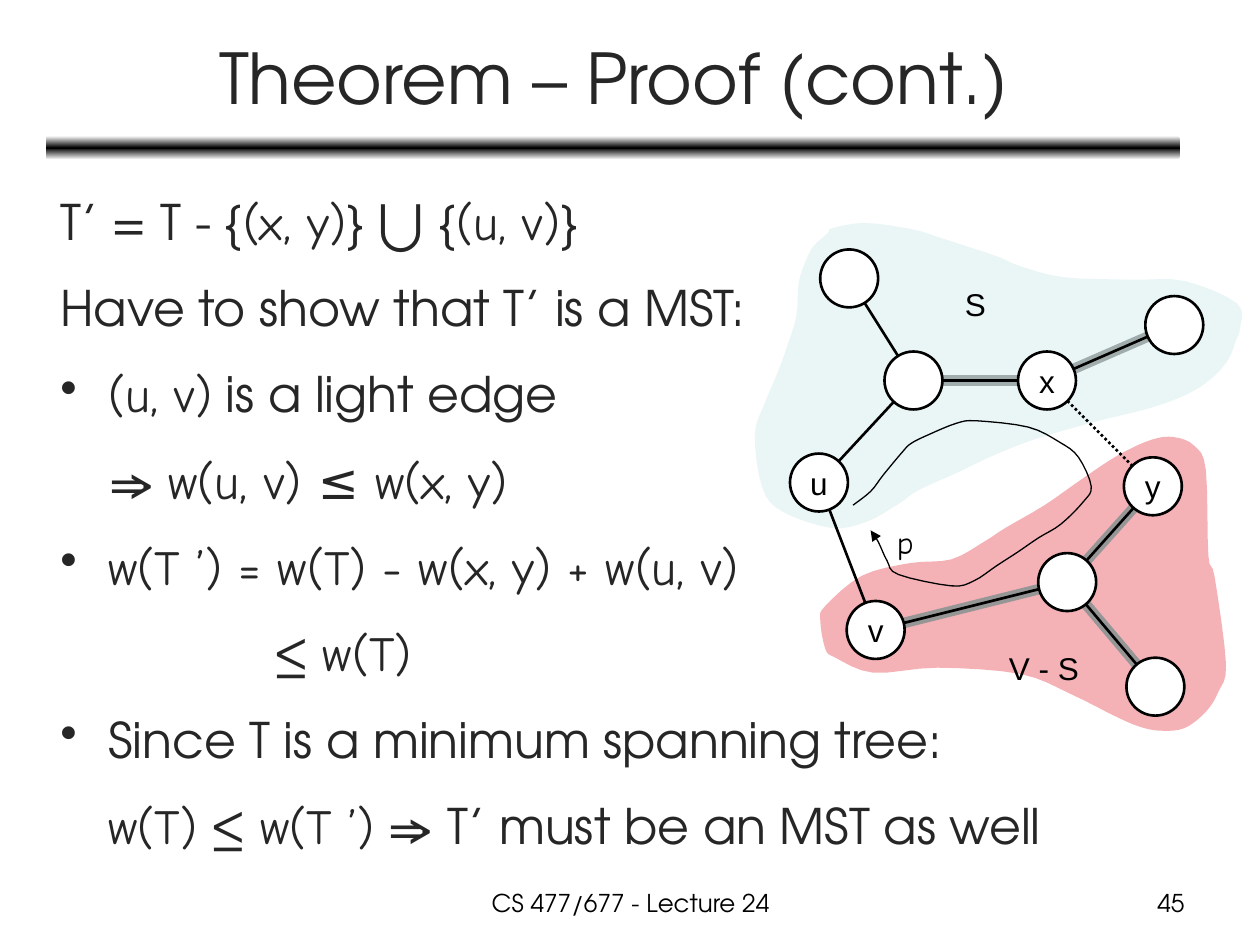
from copy import deepcopy
from math import hypot

from lxml.etree import SubElement
from pptx import Presentation
from pptx.dml.color import RGBColor
from pptx.enum.dml import MSO_LINE
from pptx.enum.shapes import MSO_CONNECTOR, MSO_SHAPE
from pptx.enum.text import MSO_ANCHOR, MSO_AUTO_SIZE, PP_ALIGN
from pptx.oxml.ns import qn
from pptx.util import Cm, Pt

BLACK = RGBColor(0, 0, 0)
WHITE = RGBColor(255, 255, 255)
INK = RGBColor(0x26, 0x26, 0x26)
GREY = RGBColor(0x96, 0x96, 0x96)
TEAL = RGBColor(0xBB, 0xE0, 0xE3)
RED = RGBColor(0xDD, 0x01, 0x11)

MAIN, MATH, PLAIN = "TeX Gyre Adventor", "Comic Neue", "Arial"
HANG = 0.97   # bullet indent, cm
DEEP = 4.3    # indent of the continued formula, cm
UNIT = 0.0254  # graph grid step, cm
RADIUS = 23   # node radius, grid steps

# Body lines: bullet or not, left margin, runs
LINES = [
    (False, 0, [("T’ = T - {", MAIN), ("(x, y)", MATH), ("} ⋃ {", MAIN),
                ("(u, v)", MATH), ("}", MAIN)]),
    (False, 0, [("Have to show that T’ is a MST:", MAIN)]),
    (True, HANG, [("(u, v)", MATH), (" is a light edge", MAIN)]),
    (False, HANG, [("⇒ ", MAIN), ("w(u, v) ≤ w(x, y)", MATH)]),
    (True, HANG, [("w(T ’) = w(T) - w(x, y) + w(u, v)", MATH)]),
    (False, DEEP, [("≤ ", MAIN), ("w(T)", MATH)]),
    (True, HANG, [("Since T is a minimum spanning tree:", MAIN)]),
    (False, HANG, [("w(T)", MATH), (" ≤ ", MAIN), ("w(T ’)", MATH),
                   (" ⇒ T’ must be an MST as well", MAIN)]),
]

# Node centres on the graph grid; one-letter keys in SHOWN are drawn
NODES = {"u": (150, 283), "a": (225, 202), "x": (331, 202),
         "b": (432, 158), "y": (415, 286), "c": (174, 121),
         "d": (347, 362), "e": (417, 445), "v": (195, 400)}
SHOWN = "uvxy"
THICK = ["ax", "xb", "vd", "dy", "de"]
THIN = ["ua", "ca", "uv"]
DOTTED = ["xy"]

CUT_S = [
    (157, 85), (146, 95), (140, 106), (134, 124), (132, 151), (124, 177),
    (117, 196), (107, 220), (99, 245), (105, 287), (121, 306), (160, 319),
    (188, 314), (213, 300), (229, 289), (260, 275), (285, 263), (320, 249),
    (368, 235), (412, 224), (442, 213), (462, 200), (475, 185), (481, 170),
    (484, 161), (482, 141), (440, 123), (398, 122), (344, 120), (309, 111),
    (290, 103), (247, 89), (224, 82), (187, 77), (161, 81)]
CUT_V = [
    (255, 344), (222, 347), (184, 357), (155, 381), (151, 392), (155, 415),
    (163, 422), (193, 434), (244, 430), (310, 435), (350, 451), (386, 469),
    (405, 477), (421, 480), (440, 478), (457, 465), (467, 449), (473, 427),
    (464, 358), (459, 341), (457, 273), (448, 254), (432, 247), (414, 249),
    (388, 261), (359, 280), (329, 301), (298, 319), (281, 330)]
TRAIL = [
    (177, 301), (191, 290), (201, 277), (216, 259), (223, 252), (237, 245),
    (259, 236), (275, 234), (316, 239), (341, 251), (356, 263), (366, 286),
    (360, 298), (342, 316), (324, 327), (308, 338), (291, 349), (273, 361),
    (255, 365), (213, 356), (204, 345), (197, 330), (191, 321)]


def add_run(para, text, font, size, color=BLACK):
    run = para.add_run()
    run.text = text
    run.font.name, run.font.size = font, Pt(size)
    run.font.color.rgb = color


def add_text(slide, box, text, font, size, align=PP_ALIGN.LEFT, wrap=True):
    frame = slide.shapes.add_textbox(*map(Cm, box)).text_frame
    frame.word_wrap = wrap
    frame.paragraphs[0].alignment = align
    add_run(frame.paragraphs[0], text, font, size)


def curve(points, closed):
    """Sample a smooth line through the points."""
    count = len(points)

    def at(i):
        return points[i % count if closed else min(max(i, 0), count - 1)]

    out = [points[0]]
    for i in range(count if closed else count - 1):
        quad = [at(i + k) for k in (-1, 0, 1, 2)]
        for t in (0.25, 0.5, 0.75, 1):
            out.append(tuple(
                (2 * q + (r - p) * t + (2 * p - 5 * q + 4 * r - s) * t**2
                 + (3 * q - p - 3 * r + s) * t**3) / 2
                for p, q, r, s in zip(*quad)))
    return out


def add_head(slide, box, text):
    # Title
    title = slide.shapes.title
    left, top, width, height = box
    title.left, title.top = Cm(left), Cm(top)
    title.width, title.height = Cm(width), Cm(height)
    frame = title.text_frame
    frame.auto_size = MSO_AUTO_SIZE.NONE
    frame.vertical_anchor = MSO_ANCHOR.MIDDLE
    frame.paragraphs[0].alignment = PP_ALIGN.CENTER
    add_run(frame.paragraphs[0], text, MAIN, 40, INK)
    # Rule below the title
    bar = slide.shapes.add_shape(MSO_SHAPE.ROUNDED_RECTANGLE, Cm(left - 0.02),
                                 Cm(top + 2.46), Cm(width), Cm(0.48))
    bar.shadow.inherit = False
    bar.line.fill.background()
    bar.fill.gradient()
    bar.fill.gradient_angle = 90
    first = next(bar._element.iter(qn("a:gs")))
    first.addnext(deepcopy(first))
    shades = zip(bar.fill.gradient_stops, (0, 0.5, 1), (WHITE, BLACK, WHITE))
    for stop, place, shade in shades:
        stop.position, stop.color.rgb = place, shade


def add_body(slide, box):
    frame = slide.shapes.add_textbox(*map(Cm, box)).text_frame
    frame.word_wrap = True
    for i, (bullet, margin, runs) in enumerate(LINES):
        para = frame.add_paragraph() if i else frame.paragraphs[0]
        para.line_spacing = 1.3
        para.space_before = Pt(5.6 if i else 0)
        props = para._p.get_or_add_pPr()
        props.set("marL", str(Cm(margin)))
        if bullet:
            props.set("indent", str(-Cm(HANG)))
            SubElement(props, qn("a:buChar")).set("char", "•")
        for text, font in runs:
            add_run(para, text, font, 28, INK)


def add_graph(slide, box):
    left, top = box

    def spot(x, y):
        return Cm(left + x * UNIT), Cm(top + y * UNIT)

    def outline(points, closed):
        dots = [spot(*p) for p in curve(points, closed)]
        pen = slide.shapes.build_freeform(*dots[0], scale=1.0)
        pen.add_line_segments(dots[1:], close=closed)
        shape = pen.convert_to_shape()
        shape.shadow.inherit = False
        return shape

    def region(points, color):
        shape = outline(points, True)
        shape.line.fill.background()
        shape.fill.solid()
        shape.fill.fore_color.rgb = color
        tint = next(shape._element.spPr.iter(qn("a:srgbClr")))
        SubElement(tint, qn("a:alpha")).set("val", "30000")

    def edges(pairs, color, width, dash=None):
        for one, two in pairs:
            (x1, y1), (x2, y2) = NODES[one], NODES[two]
            cut = RADIUS / hypot(x2 - x1, y2 - y1)
            dx, dy = (x2 - x1) * cut, (y2 - y1) * cut
            link = slide.shapes.add_connector(
                MSO_CONNECTOR.STRAIGHT, *spot(x1 + dx, y1 + dy),
                *spot(x2 - dx, y2 - dy))
            link.line.color.rgb, link.line.width = color, Pt(width)
            if dash:
                link.line.dash_style = dash
            SubElement(link._element.spPr, qn("a:effectLst"))

    # Two sides of the cut, with tree edges marked in grey
    region(CUT_V, RED)
    edges(THICK, GREY, 6)
    region(CUT_S, TEAL)
    edges(THICK + THIN, BLACK, 1.5)
    edges(DOTTED, BLACK, 1.5, MSO_LINE.ROUND_DOT)

    # Nodes
    size = Cm(2 * RADIUS * UNIT)
    for name, (x, y) in NODES.items():
        node = slide.shapes.add_shape(
            MSO_SHAPE.OVAL, *spot(x - RADIUS, y - RADIUS), size, size)
        node.shadow.inherit = False
        node.fill.solid()
        node.fill.fore_color.rgb = WHITE
        node.line.color.rgb, node.line.width = BLACK, Pt(1.5)
        if name in SHOWN:
            frame = node.text_frame
            frame.word_wrap = False
            frame.vertical_anchor = MSO_ANCHOR.MIDDLE
            frame.paragraphs[0].alignment = PP_ALIGN.CENTER
            add_run(frame.paragraphs[0], name, PLAIN, 18)

    # Cycle arrow
    trail = outline(TRAIL, False)
    trail.fill.background()
    trail.line.color.rgb, trail.line.width = BLACK, Pt(0.75)
    SubElement(trail.line._get_or_add_ln(), qn("a:tailEnd")).set(
        "type", "triangle")

    # Labels
    for text, font, x, y, width in (("S", PLAIN, 256, 121, 0.94),
                                    ("V - S", PLAIN, 291, 410, 1.93),
                                    ("p", MATH, 202, 310, 0.86)):
        place = (left + x * UNIT, top + y * UNIT, width, 1.02)
        add_text(slide, place, text, font, 18, wrap=False)


def add_foot(slide, box):
    left, top, width, height = box
    add_text(slide, (left, top, 8.05, height), "CS 477/677 - Lecture 24",
             MAIN, 14, PP_ALIGN.CENTER)
    add_text(slide, (left + width - 5.92, top, 5.92, height), "45",
             MAIN, 14, PP_ALIGN.RIGHT)


def main():
    deck = Presentation()
    deck.slide_width, deck.slide_height = Cm(25.4), Cm(19.05)
    slide = deck.slides.add_slide(deck.slide_layouts[5])
    add_head(slide, (0.94, 0.28, 22.86, 2.51), "Theorem – Proof (cont.)")
    add_body(slide, (0.97, 3.38, 22.86, 15.04))
    add_graph(slide, (12.7, 2.54))
    add_foot(slide, (8.69, 17.78, 15.44, 0.89))
    deck.save("out.pptx")


if __name__ == "__main__":
    main()
